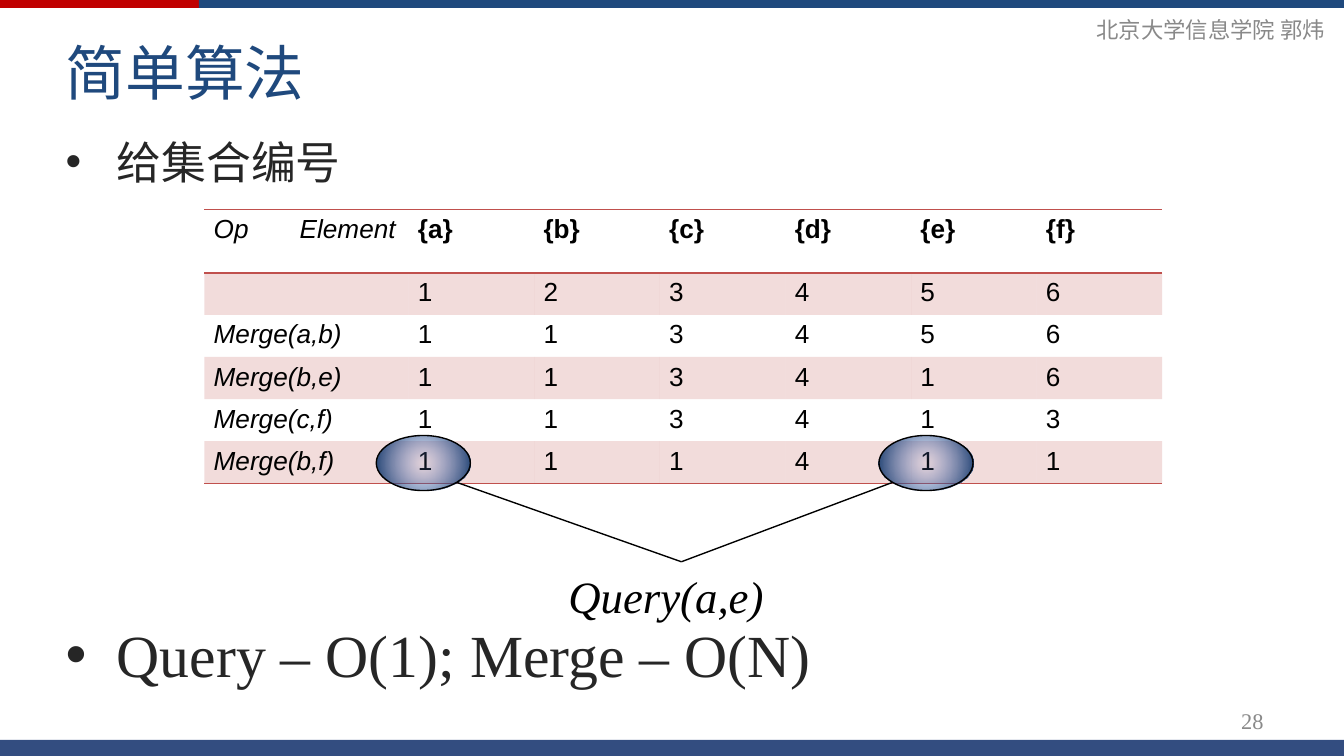
from lxml import etree
from pptx import Presentation
from pptx.dml.color import RGBColor
from pptx.enum.shapes import MSO_CONNECTOR, MSO_SHAPE
from pptx.enum.text import MSO_ANCHOR, PP_ALIGN
from pptx.oxml import parse_xml
from pptx.oxml.ns import qn
from pptx.util import Inches, Pt

RECT, OVAL = MSO_SHAPE.RECTANGLE, MSO_SHAPE.OVAL
LINE = MSO_CONNECTOR.STRAIGHT
TOP, MIDDLE = MSO_ANCHOR.TOP, MSO_ANCHOR.MIDDLE
LEFT, RIGHT = PP_ALIGN.LEFT, PP_ALIGN.RIGHT
NS = 'xmlns:a="http://schemas.openxmlformats.org/drawingml/2006/main"'
BANDED = "{0E3FDE45-AF77-4B5C-9715-49D594BDF05E}"
SERIF, SANS = "Times New Roman", "Arial"
BLACK, GRAY, DARK, NAVY = "000000", "898989", "262626", "1F497D"
HEADS = ["Op\tElement", "{a}", "{b}", "{c}", "{d}", "{e}", "{f}"]
STEPS = [
    ("", "123456"),
    ("Merge(a,b)", "113456"),
    ("Merge(b,e)", "113416"),
    ("Merge(c,f)", "113413"),
    ("Merge(b,f)", "111411"),
]


def color(code):
    """Turn a hex string into a colour."""
    return RGBColor.from_string(code)


def write(frame, text, size=14, font=SERIF, ink=BLACK, bold=False,
          italic=False, align=LEFT, anchor=TOP):
    """Put formatted text in a frame and return its paragraph."""
    frame.word_wrap = True
    frame.vertical_anchor = anchor
    para = frame.paragraphs[0]
    para.alignment = align
    if not text:
        etree.SubElement(para._p, qn("a:endParaRPr"), sz=str(size * 100))
        return para
    run = para.add_run()
    run.text = text
    face = run.font
    face.size, face.name = Pt(size), font
    face.bold, face.italic = bold, italic
    face.color.rgb = color(ink)
    return para


def label(slide, box, text, **style):
    """Add a text box and return its paragraph."""
    area = slide.shapes.add_textbox(*map(Inches, box))
    return write(area.text_frame, text, **style)


def bullet(slide, box, text, size):
    """Add a bulleted line with a hanging indent."""
    para = label(slide, box, text, size=size, ink=DARK)
    props = para._p.get_or_add_pPr()
    props.set("marL", str(Inches(0.38)))
    props.set("indent", str(-Inches(0.38)))
    props.append(parse_xml(f'<a:buFont {NS} typeface="{SANS}"/>'))
    props.append(parse_xml(f'<a:buChar {NS} char="•"/>'))


def bar(slide, box, fill):
    """Draw a flat strip."""
    strip = slide.shapes.add_shape(RECT, *map(Inches, box))
    strip.shadow.inherit = False
    strip.fill.solid()
    strip.fill.fore_color.rgb = color(fill)
    strip.line.fill.background()


def frame(slide, wide, high):
    """Draw the strips, the author and the page number."""
    bar(slide, (0, 0, wide, 0.06), "C00000")
    bar(slide, (1.48, 0, wide - 1.48, 0.06), NAVY)
    bar(slide, (0, high - 0.12, wide, 0.12), "334D80")
    small = dict(size=12, ink=GRAY, align=RIGHT, anchor=MIDDLE)
    label(slide, (wide - 2.37, 0.07, 2.33, 0.3), "北京大学信息学院 郭炜", **small)
    label(slide, (wide - 2.83, high - 0.41, 2.33, 0.3), "28", **small)


def grid(slide, box):
    """Build the table of set numbers after each merge."""
    left, top, wide, high = box
    rows = [HEADS] + [[name, *marks] for name, marks in STEPS]
    table = slide.shapes.add_table(
        len(rows), len(HEADS), *map(Inches, box)).table
    table._tbl.tblPr.find(qn("a:tableStyleId")).text = BANDED
    first, head = 1.52, 0.47
    for c, col in enumerate(table.columns):
        col.width = Inches((wide - first) / (len(HEADS) - 1) if c else first)
    for r, row in enumerate(table.rows):
        row.height = Inches((high - head) / len(STEPS) if r else head)
        for c, text in enumerate(rows[r]):
            cell = table.cell(r, c)
            cell.margin_left = cell.margin_right = Inches(0.07)
            cell.margin_top = cell.margin_bottom = Inches(0.04)
            write(cell.text_frame, text, font=SANS,
                  bold=r == 0 and c > 0, italic=c == 0)
    props = table.cell(0, 0).text_frame.paragraphs[0]._p.get_or_add_pPr()
    tabs = etree.SubElement(props, qn("a:tabLst"))
    etree.SubElement(tabs, qn("a:tab"), pos=str(Inches(0.64)), algn="l")


def ring(slide, box):
    """Draw an oval that is clear at its centre."""
    oval = slide.shapes.add_shape(OVAL, *map(Inches, box))
    oval.shadow.inherit = False
    oval.line.color.rgb = color(BLACK)
    oval.line.width = Pt(0.75)
    oval.fill.background()
    blank = oval._element.spPr.find(qn("a:noFill"))
    blank.getparent().replace(blank, parse_xml(
        f'<a:gradFill {NS} rotWithShape="1"><a:gsLst>'
        '<a:gs pos="0"><a:srgbClr val="5E7CC5"><a:alpha val="10000"/>'
        '</a:srgbClr></a:gs><a:gs pos="100000"><a:srgbClr val="00295C"/>'
        '</a:gs></a:gsLst><a:path path="circle"><a:fillToRect l="50000" '
        't="50000" r="50000" b="50000"/></a:path></a:gradFill>'))


def link(slide, start, end):
    """Join two points with a thin line."""
    wire = slide.shapes.add_connector(LINE, *map(Inches, (*start, *end)))
    wire.line.color.rgb = color(BLACK)
    wire.line.width = Pt(0.75)
    etree.SubElement(wire._element.spPr, qn("a:effectLst"))


def query(slide, box):
    """Mark the two cells compared and name the query below."""
    left, top, wide, high = box
    mid, tip = left + wide / 2 + 0.05, top + 0.94
    for x, foot in ((left, left + 0.6), (left + wide - 0.7, left + wide - 0.6)):
        ring(slide, (x, top, 0.7, 0.41))
        link(slide, (mid, tip), (foot, top + 0.35))
    label(slide, (mid - 0.94, tip, 1.88, high - 0.94), "Query(a,e)",
          size=24, italic=True)


def main():
    """Build the slide and save it."""
    deck = Presentation()
    wide = 10
    high = wide * 9 / 16
    deck.slide_width, deck.slide_height = Inches(wide), Inches(high)
    slide = deck.slides.add_slide(deck.slide_layouts[6])
    frame(slide, wide, high)
    label(slide, (0.39, 0.1, 9.14, 0.87), "简单算法", size=32, font=SANS,
          ink=NAVY, anchor=MIDDLE)
    bullet(slide, (0.39, 0.95, 9, 0.56), "给集合编号", 24)
    bullet(slide, (0.39, 4.55, 9, 0.6), "Query – O(1); Merge – O(N)", 32)
    grid(slide, (1.52, 1.56, 7.13, 2.03))
    query(slide, (2.8, 3.24, 4.44, 1.44))
    deck.save("out.pptx")


if __name__ == "__main__":
    main()
